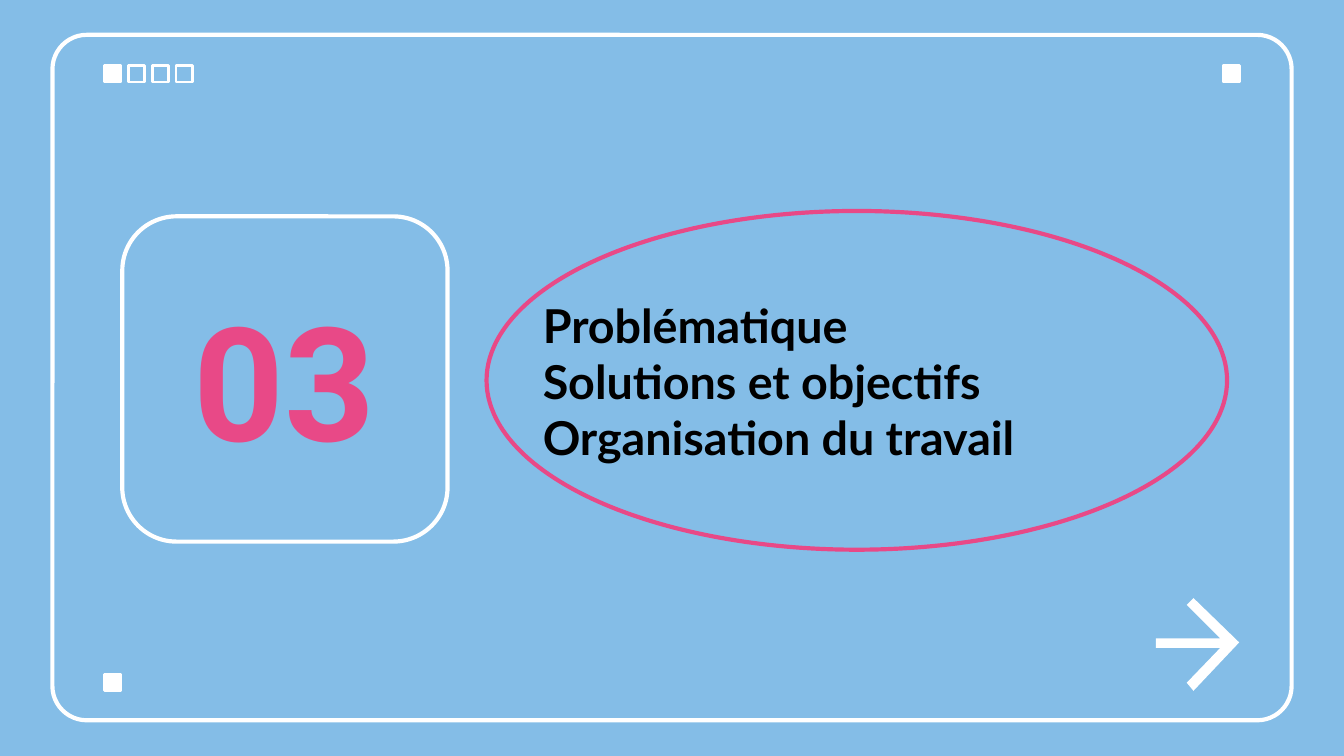
from pptx import Presentation
from pptx.dml.color import RGBColor
from pptx.enum.shapes import MSO_SHAPE
from pptx.enum.text import MSO_ANCHOR, PP_ALIGN
from pptx.util import Inches, Pt

WHITE, PINK, BLUE, BLACK = "FFFFFF", "E84987", "84BDE7", "000000"


def paint(fill, color):
    """Give a fill one solid colour, or none at all."""
    if color:
        fill.solid()
        fill.fore_color.rgb = RGBColor.from_string(color)
    else:
        fill.background()


def draw(kind, box, line, width, fill=None, round=None):
    """Add a preset shape; round is the corner ratio."""
    shape = slide.shapes.add_shape(kind, *map(Inches, box))
    shape.shadow.inherit = False
    paint(shape.fill, fill)
    paint(shape.line.fill, line)
    shape.line.width = Pt(width)
    if round:
        shape.adjustments[0] = round


deck = Presentation()
deck.slide_width = Inches(10)
deck.slide_height = Inches(10 * 9 / 16)
slide = deck.slides.add_slide(deck.slide_layouts[6])
paint(slide.background.fill, BLUE)

# Frame and corner squares
draw(MSO_SHAPE.ROUNDED_RECTANGLE, (0.39, 0.26, 9.22, 5.1), WHITE, 2.25, round=0.05)
squares = [(0.78 + 0.53 * i / 3, 0.49, None if i else WHITE) for i in range(4)]
squares += [(0.78, 5.02, WHITE), (9.1, 0.49, WHITE)]
for left, top, fill in squares:
    draw(MSO_SHAPE.RECTANGLE, (left, top, 0.12, 0.12), WHITE, 1.5, fill)

# Outlines around the title and the number
draw(MSO_SHAPE.OVAL, (3.62, 1.57, 5.51, 2.52), PINK, 2.25)
draw(MSO_SHAPE.ROUNDED_RECTANGLE, (0.91, 1.61, 2.42, 2.42), WHITE, 2.25)

# Title and number
title = "Problématique\vSolutions et objectifs\vOrganisation du travail"
texts = [
    (title, (3.94, 1.57, 5.91, 2.52), 0.1, PP_ALIGN.LEFT, BLACK,
     {"name": "Lato", "size": Pt(25), "bold": True}),
    ("03", (0.91, 1.87, 2.42, 1.89), 0, PP_ALIGN.CENTER, PINK,
     {"name": "Roboto", "size": Pt(85), "bold": True}),
]
for text, box, side, align, color, style in texts:
    frame = slide.shapes.add_textbox(*map(Inches, box)).text_frame
    frame.word_wrap = True
    frame.vertical_anchor = MSO_ANCHOR.MIDDLE
    frame.margin_left = frame.margin_right = Inches(side)
    frame.margin_top = frame.margin_bottom = Inches(0.1)
    para = frame.paragraphs[0]
    para.text = text
    para.alignment = align
    for run in para.runs:
        paint(run.font.fill, color)
        for key, value in style.items():
            setattr(run.font, key, value)

# Arrow
points = [(8.88, 4.45), (8.83, 4.5), (9.08, 4.75), (8.6, 4.75), (8.6, 4.82),
          (9.08, 4.82), (8.83, 5.08), (8.88, 5.14), (9.22, 4.78)]
points = [(Inches(x), Inches(y)) for x, y in points]
outline = slide.shapes.build_freeform(*points[0])
outline.add_line_segments(points[1:])
arrow = outline.convert_to_shape()
arrow.shadow.inherit = False
paint(arrow.fill, WHITE)
paint(arrow.line.fill, None)

deck.save("out.pptx")
